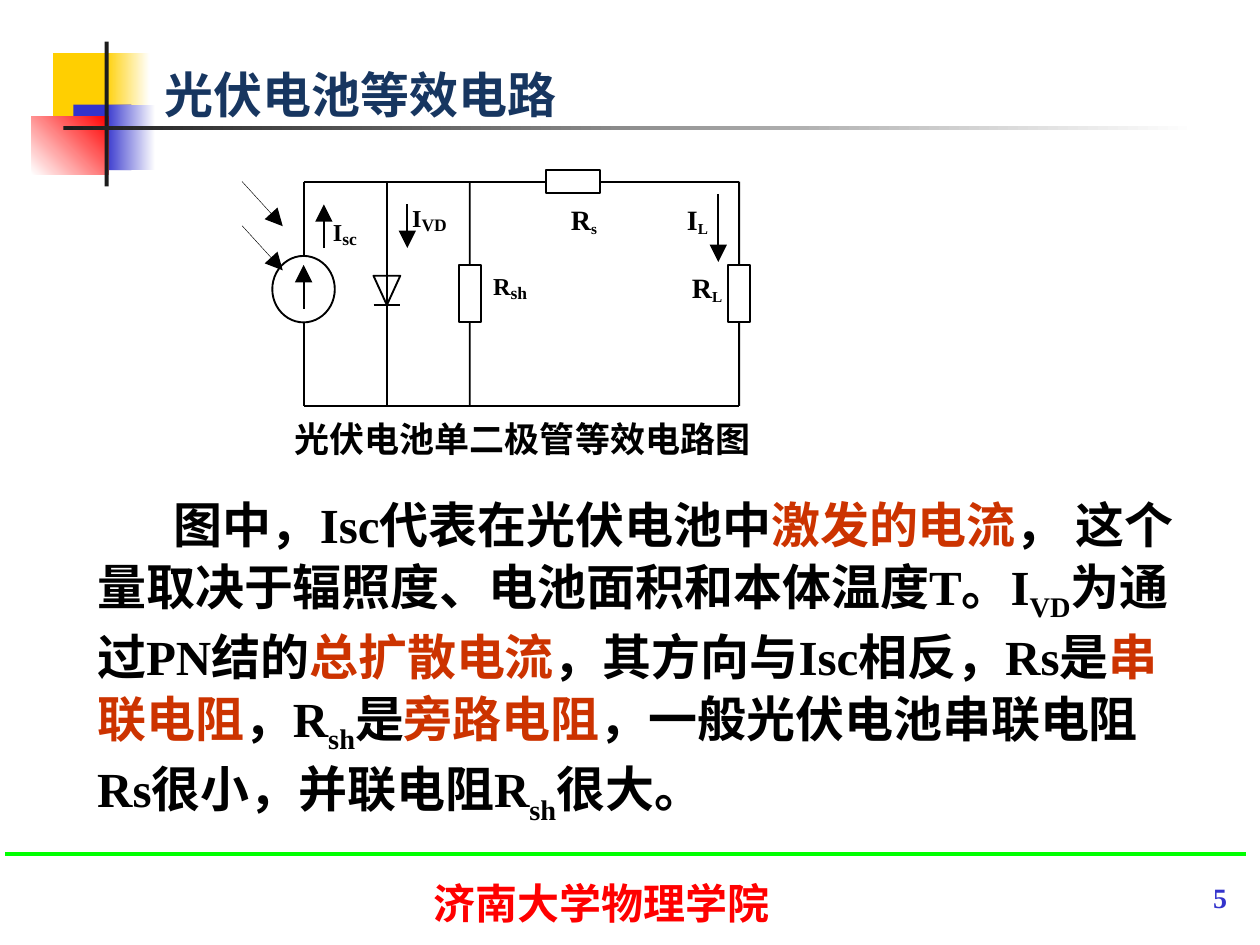
import pptx
import pptx.util
import pptx.dml.color
import pptx.enum.shapes
import pptx.enum.text
import pptx.oxml.ns
import lxml.etree

Cm = pptx.util.Cm
Pt = pptx.util.Pt
Kind = pptx.enum.shapes.MSO_SHAPE
Align = pptx.enum.text.PP_ALIGN
Anchor = pptx.enum.text.MSO_ANCHOR
qn = pptx.oxml.ns.qn

HUES = {
    "gold": "FFCF01", "blue": "3333CC", "red": "FF0000", "dark": "1C1C1C",
    "white": "FFFFFF", "black": "000000", "navy": "173660",
    "green": "00FF00", "rust": "CC3300",
}
SERIF = "Times New Roman"
SANS = "Cabin"


def hue(name):
    return pptx.dml.color.RGBColor.from_string(HUES[name])


def style(item, vals):
    for key, val in vals.items():
        setattr(item, key, val)


def write(para, text, size, name, color, base=0):
    run = para.add_run()
    run.text = text
    style(run.font, {"size": Pt(size), "name": name, "bold": True})
    run.font.color.rgb = hue(color)
    if base:
        run._r.get_or_add_rPr().set("baseline", str(base * 1000))


def setup(frame, anchor=Anchor.TOP, wrap=True, pad=(0.25, 0.13)):
    side, edge = (Cm(val) for val in pad)
    style(frame, {
        "margin_left": side, "margin_right": side, "margin_top": edge,
        "margin_bottom": edge, "vertical_anchor": anchor, "word_wrap": wrap,
        "auto_size": pptx.enum.text.MSO_AUTO_SIZE.NONE,
    })
    return frame.paragraphs[0]


def place(shape, box):
    style(shape, dict(zip(("left", "top", "width", "height"), map(Cm, box))))


def plain(para, left=0, first=0):
    props = para._p.get_or_add_pPr()
    props.set("marL", str(Cm(left)))
    props.set("indent", str(Cm(first)))
    lxml.etree.SubElement(props, qn("a:buNone"))
    para.space_before = Pt(0)


def label(slide, box, **opts):
    return setup(slide.shapes.add_textbox(*map(Cm, box)).text_frame, **opts)


def block(slide, kind, box, fill, edge=None):
    shape = slide.shapes.add_shape(kind, *map(Cm, box))
    shape.shadow.inherit = False
    shape.fill.solid()
    shape.fill.fore_color.rgb = hue(fill)
    if edge:
        shape.line.color.rgb = hue(edge)
        shape.line.width = Pt(1.08)
    else:
        shape.line.fill.background()
    return shape


def wire(slide, start, end, color="black", width=1.08, tip=False):
    spots = [Cm(val) for val in (*start, *end)]
    line = slide.shapes.add_connector(pptx.enum.shapes.MSO_CONNECTOR.STRAIGHT, *spots)
    line.line.color.rgb = hue(color)
    line.line.width = Pt(width)
    props = line._element.spPr
    if tip:
        lxml.etree.SubElement(props.find(qn("a:ln")), qn("a:tailEnd"),
                              type="triangle", w="lg", len="lg")
    lxml.etree.SubElement(props, qn("a:effectLst"))
    return line


def motif(slide, left, top):
    parts = [
        (0.43, 0.23, 1.22, 1.32, "gold", None, 0),
        (1.47, 0.23, 0.91, 1.32, "gold", "white", 0),
        (0.84, 1.27, 1.17, 1.32, "blue", None, 0),
        (1.47, 1.27, 1.02, 1.32, "blue", "white", 0),
        (0, 1.5, 1.55, 1.17, "white", "red", 45),
        (1.47, 0, 0.08, 2.92, "dark", None, 0),
        (0.64, 1.7, 22.86, 0.08, "dark", "white", 0),
    ]
    for x, y, wide, high, first, last, turn in parts:
        shape = block(slide, Kind.RECTANGLE, (left + x, top + y, wide, high), first)
        if last:
            shape.fill.gradient()
            shape.fill.gradient_angle = turn
            for stop, color in zip(shape.fill.gradient_stops, (first, last)):
                stop.color.rgb = hue(color)


def foot(slide, left, top, wide):
    wire(slide, (left, top), (left + wide, top), "green", 2.25)
    para = label(slide, (left + 7.34, top + 0.35, 9.37, 1.47))
    para.alignment = Align.CENTER
    write(para, "济南大学物理学院", 24, SANS, "red")
    para = label(slide, (left + 16.84, top + 0.41, 8.05, 0.89))
    para.alignment = Align.RIGHT
    write(para, "5", 16, SERIF, "blue")


def head(slide, box):
    title = slide.shapes.title
    place(title, box)
    para = setup(title.text_frame, Anchor.BOTTOM)
    para.alignment = Align.LEFT
    write(para, "光伏电池等效电路", 28, SANS, "navy")


def circuit(slide, left, top):
    def at(x, y):
        return left + x, top + y

    def join(start, end, first=None, last=None):
        line = wire(slide, at(*start), at(*end))
        if first:
            line.begin_connect(*first)
        if last:
            line.end_connect(*last)

    cell, diode, shunt, load = 1.24, 2.92, 4.59, 10.02
    roof, floor, upper, lower = 0.23, 4.75, 1.91, 3.07

    block(slide, Kind.OVAL, (*at(0.61, 1.73), 1.26, 1.34), "white", "black")
    block(slide, Kind.FLOWCHART_MERGE, (*at(2.65, 2.13), 0.54, 0.59), "white", "black")
    join((2.65, 2.72), (3.19, 2.72))
    join((diode, roof), (diode, floor))

    series = block(slide, Kind.RECTANGLE, (*at(6.12, 0), 1.1, 0.46), "white", "black")
    join((cell, roof), (6.12, roof), last=(series, 1))
    join((7.22, roof), (load, roof), first=(series, 3))
    for x in (shunt, load):
        part = block(slide, Kind.RECTANGLE, (*at(x - 0.22, upper), 0.44, 1.16),
                     "white", "black")
        join((x, roof), (x, upper), last=(part, 0))
        join((x, lower), (x, floor), first=(part, 2))
    join((cell, roof), (cell, 1.73))
    join((cell, lower), (cell, floor))
    join((cell, floor), (load, floor))

    for x, start, end in ((cell, 2.79, 1.91), (1.65, 1.57, 0.69),
                          (3.33, 0.69, 1.57), (9.6, 0.48, 1.85)):
        wire(slide, at(x, start), at(x, end), tip=True)
    for y in (0.23, 1.12):
        wire(slide, at(0, y), at(0.82, y + 0.9), width=0.25, tip=True)

    small = ((24, 9), (10, 0))
    large = ((16, 0), (15, -13))
    for x, y, wide, text, sub, sizes in (
        (1.83, 1.02, 0.56, "I", "sc", small),
        (3.43, 0.74, 0.76, "I", "VD", small),
        (5.06, 2.11, 0.79, "R", "sh", small),
        (6.63, 0.66, 0.58, "R", "s", large),
        (9.07, 2.03, 0.69, "R", "L", large),
        (8.97, 0.66, 0.51, "I", "L", large),
    ):
        para = label(slide, (*at(x, y), wide, 0.7), wrap=False, pad=(0, 0))
        if sizes == small:
            para.line_spacing = Pt(19)
        for word, (size, base) in zip((text, sub), sizes):
            write(para, word, size, SERIF, "black", base)

    para = label(slide, (*at(-0.15, 5.03), 11.61, 0.74), anchor=Anchor.MIDDLE,
                 wrap=False, pad=(0, 0))
    para.alignment = Align.CENTER
    write(para, "光伏电池单二极管等效电路图", 20, SANS, "black")


def body(slide, box):
    hold = slide.placeholders[1]
    place(hold, box)
    para = setup(hold.text_frame)
    plain(para, 0.95, 1.53)
    para.line_spacing = 1.05
    for text, color, base in (
        ("图中，Isc代表在光伏电池中", "black", 0),
        ("激发的电流", "rust", 0),
        ("， 这个量取决于辐照度、电池面积和本体温度T。I", "black", 0),
        ("VD", "black", -25),
        ("为通过PN结的", "black", 0),
        ("总扩散电流", "rust", 0),
        ("，其方向与Isc相反，Rs是", "black", 0),
        ("串联电阻", "rust", 0),
        ("，R", "black", 0),
        ("sh", "black", -25),
        ("是", "black", 0),
        ("旁路电阻", "rust", 0),
        ("，一般光伏电池串联电阻Rs很小，并联电阻R", "black", 0),
        ("sh", "black", -25),
        ("很大。", "black", 0),
    ):
        write(para, text, 28, SERIF, color, base)


def main():
    deck = pptx.Presentation()
    style(deck, {"slide_width": Cm(25.4), "slide_height": Cm(19.05)})
    slide = deck.slides.add_slide(deck.slide_layouts[1])
    motif(slide, 0.64, 0.84)
    head(slide, (3.07, 0.64, 17.78, 1.98))
    circuit(slide, 4.88, 3.43)
    body(slide, (0.76, 9.78, 23.32, 7.01))
    foot(slide, 0.1, 17.22, 25.02)
    deck.save("out.pptx")


if __name__ == "__main__":
    main()
